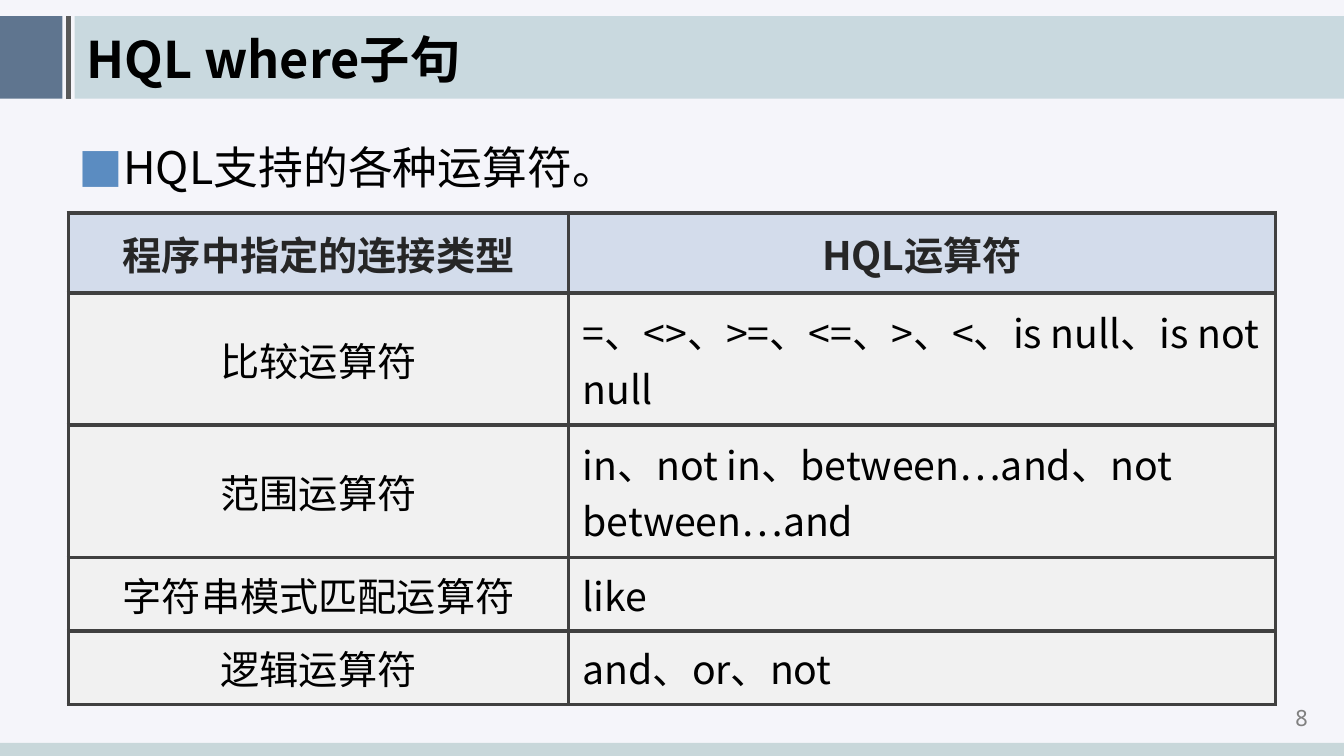
from dataclasses import dataclass

from lxml.etree import SubElement
from pptx import Presentation
from pptx.dml.color import RGBColor
from pptx.enum.shapes import MSO_CONNECTOR, MSO_SHAPE
from pptx.enum.text import MSO_ANCHOR, PP_ALIGN
from pptx.oxml import parse_xml
from pptx.oxml.ns import nsdecls, qn
from pptx.util import Inches, Pt

SANS, MONO = "Noto Sans CJK SC", "Noto Sans Mono"
SLIDE_WIDTH, SLIDE_HEIGHT = 13.33, 7.5
BAND_TOP, BAND_HEIGHT = 0.16, 0.82
LEFT_EDGE, CONTENT_WIDTH = 0.68, 11.97


@dataclass
class Band:
    left: float
    top: float
    width: float
    height: float
    color: str
    opacity: int = 100


@dataclass
class TextStyle:
    size: float
    color: str = "000000"
    bold: bool = False
    align: PP_ALIGN = PP_ALIGN.LEFT
    font: str = SANS


@dataclass
class OperatorRow:
    kind: str
    operators: str
    height: float


BANDS = [
    Band(0, BAND_TOP, 0.62, BAND_HEIGHT, "204062", 70),
    Band(0.74, BAND_TOP, 12.59, BAND_HEIGHT, "6699A1", 30),
    Band(0, 7.37, SLIDE_WIDTH, 0.14, "C8D7DA"),
]
HEADING = TextStyle(28, "262626", True, PP_ALIGN.CENTER)
KIND = TextStyle(28, align=PP_ALIGN.CENTER)
OPERATORS = TextStyle(28)
COLUMN_WIDTHS = [4.96, 7.01]
ROWS = [
    OperatorRow("程序中指定的连接类型", "HQL运算符", 0.8),
    OperatorRow("比较运算符", "=、<>、>=、<=、>、<、is null、is not null", 1.31),
    OperatorRow("范围运算符", "in、not in、between…and、not between…and", 1.31),
    OperatorRow("字符串模式匹配运算符", "like", 0.73),
    OperatorRow("逻辑运算符", "and、or、not", 0.73),
]


def rgb(color: str) -> RGBColor:
    return RGBColor.from_string(color)


def write(frame, text: str, style: TextStyle):
    """Fill a text frame with one styled paragraph."""
    paragraph = frame.paragraphs[0]
    paragraph.text = text
    paragraph.alignment = style.align
    font = paragraph.font
    font.size, font.bold, font.name = Pt(style.size), style.bold, style.font
    font.color.rgb = rgb(style.color)
    latin = paragraph._p.pPr.find(qn("a:defRPr")).find(qn("a:latin"))
    latin.addnext(parse_xml(f'<a:ea {nsdecls("a")} typeface="{style.font}"/>'))
    return paragraph


def add_text(slide, left: float, top: float, width: float, height: float,
             text: str, style: TextStyle, anchor: MSO_ANCHOR = MSO_ANCHOR.MIDDLE):
    frame = slide.shapes.add_textbox(
        Inches(left), Inches(top), Inches(width), Inches(height)).text_frame
    frame.word_wrap = True
    frame.vertical_anchor = anchor
    return write(frame, text, style)


def add_band(slide, band: Band) -> None:
    shape = slide.shapes.add_shape(
        MSO_SHAPE.RECTANGLE, Inches(band.left), Inches(band.top),
        Inches(band.width), Inches(band.height))
    shape.shadow.inherit = False
    shape.line.fill.background()
    shape.fill.solid()
    shape.fill.fore_color.rgb = rgb(band.color)
    if band.opacity < 100:
        color = shape._element.spPr.find(qn("a:solidFill"))[0]
        SubElement(color, qn("a:alpha"), val=str(band.opacity * 1000))


def add_divider(slide, x: float, top: float, bottom: float) -> None:
    divider = slide.shapes.add_connector(
        MSO_CONNECTOR.STRAIGHT, Inches(x), Inches(bottom), Inches(x), Inches(top))
    divider.line.color.rgb = rgb("595959")
    divider.line.width = Pt(3)
    SubElement(divider._element.spPr, qn("a:effectLst"))


def add_square_bullet(paragraph, color: str, indent: float) -> None:
    properties = paragraph._p.pPr
    properties.set("marL", str(Inches(indent)))
    properties.set("indent", str(-Inches(indent)))
    font = properties.find(qn("a:defRPr"))
    for tag in (f'<a:buClr {nsdecls("a")}><a:srgbClr val="{color}"/></a:buClr>',
                f'<a:buFont {nsdecls("a")} typeface="{SANS}"/>',
                f'<a:buChar {nsdecls("a")} char="■"/>'):
        font.addprevious(parse_xml(tag))


def style_cell(cell, text: str, style: TextStyle, fill: str) -> None:
    cell.margin_left = cell.margin_right = Inches(0.14)
    cell.margin_top = cell.margin_bottom = Inches(0.05)
    cell.vertical_anchor = MSO_ANCHOR.MIDDLE
    write(cell.text_frame, text, style)
    properties = cell._tc.get_or_add_tcPr()
    for side in ("lnL", "lnR", "lnT", "lnB"):
        properties.append(parse_xml(
            f'<a:{side} {nsdecls("a")} w="{Pt(3)}"><a:solidFill>'
            f'<a:srgbClr val="404040"/></a:solidFill></a:{side}>'))
    cell.fill.solid()
    cell.fill.fore_color.rgb = rgb(fill)


def add_operator_table(slide, left: float, top: float) -> None:
    height = sum(row.height for row in ROWS)
    table = slide.shapes.add_table(
        len(ROWS), len(COLUMN_WIDTHS), Inches(left), Inches(top),
        Inches(CONTENT_WIDTH), Inches(height)).table
    for column, width in zip(table.columns, COLUMN_WIDTHS):
        column.width = Inches(width)
    for index, row in enumerate(ROWS):
        table.rows[index].height = Inches(row.height)
        is_heading = index == 0
        fill = "D3DCEB" if is_heading else "F1F1F1"
        style_cell(table.cell(index, 0), row.kind, HEADING if is_heading else KIND, fill)
        style_cell(table.cell(index, 1), row.operators,
                   HEADING if is_heading else OPERATORS, fill)


def main() -> None:
    deck = Presentation()
    deck.slide_width, deck.slide_height = Inches(SLIDE_WIDTH), Inches(SLIDE_HEIGHT)
    slide = deck.slides.add_slide(deck.slide_layouts[6])
    slide.background.fill.solid()
    slide.background.fill.fore_color.rgb = rgb("F5F5FA")

    # Header and footer bands
    for band in BANDS:
        add_band(slide, band)
    add_divider(slide, LEFT_EDGE, BAND_TOP, BAND_TOP + BAND_HEIGHT)

    # Page number, title and lead sentence
    add_text(slide, 12.49, 6.96, 0.84, 0.31, "8",
             TextStyle(16, "808080", align=PP_ALIGN.CENTER, font=MONO))
    add_text(slide, 0.76, 0.21, 11.54, 0.73, "HQL where子句", TextStyle(36, bold=True))
    lead = add_text(slide, LEFT_EDGE, 1.23, CONTENT_WIDTH, 3.07,
                    "HQL支持的各种运算符。", TextStyle(32), MSO_ANCHOR.TOP)
    lead.line_spacing = 1.2
    lead.space_before = Pt(6.4)
    add_square_bullet(lead, "5B8CC1", 0.38)

    # Operators by kind
    add_operator_table(slide, LEFT_EDGE, 2.11)

    deck.save("out.pptx")


if __name__ == "__main__":
    main()
